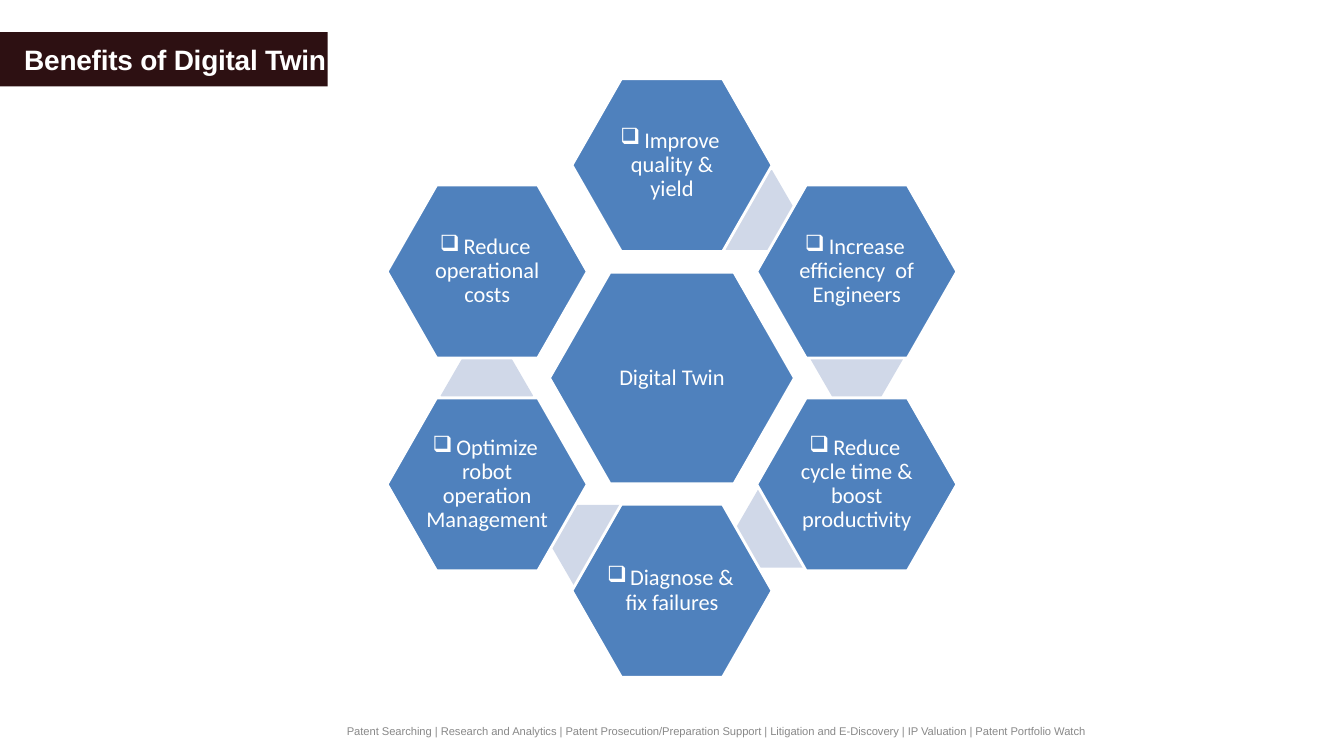
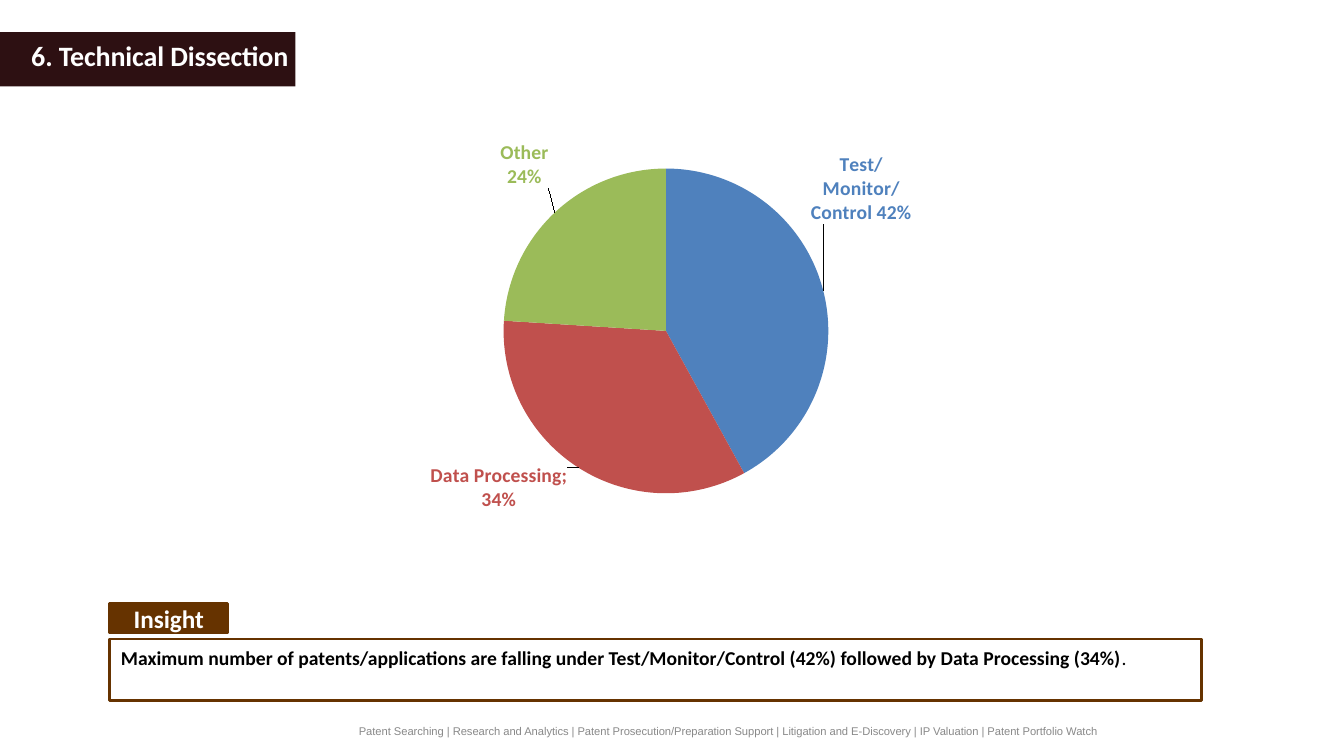
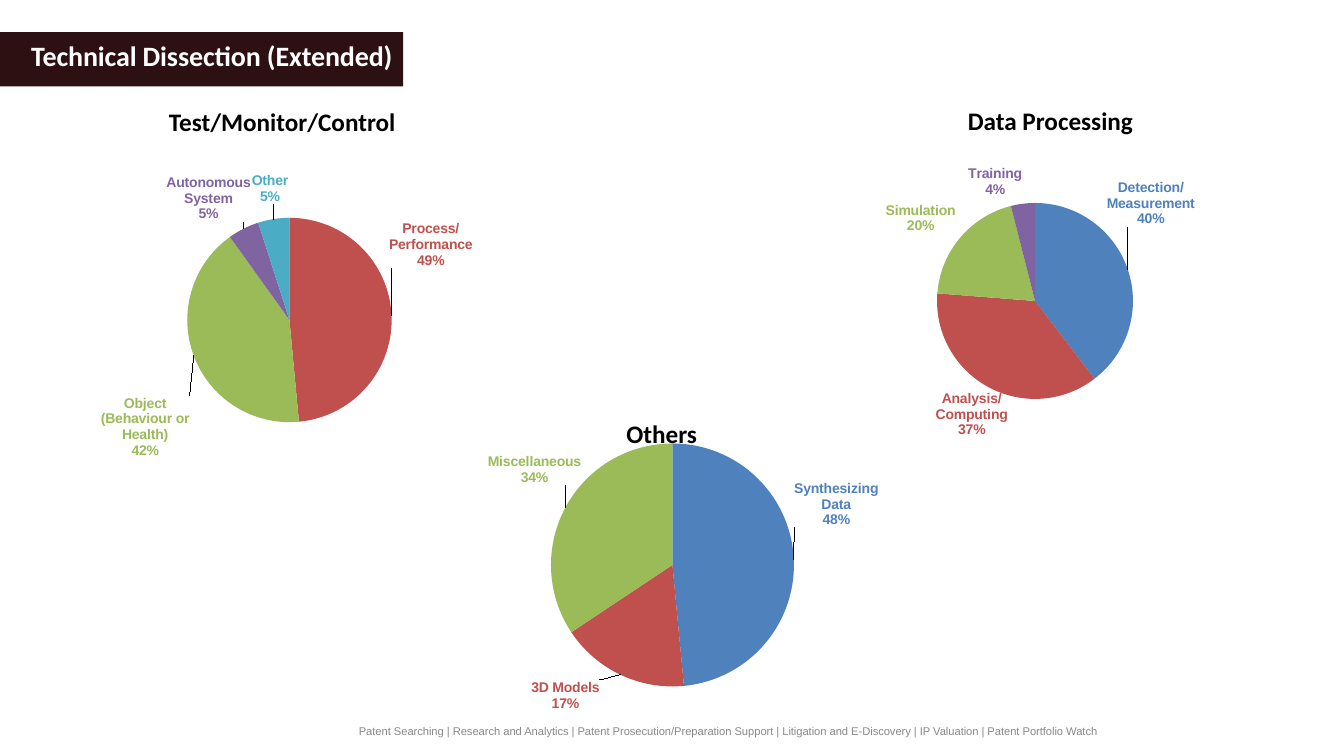
from lxml import etree
from pptx import Presentation
from pptx.chart.data import CategoryChartData
from pptx.dml.color import RGBColor
from pptx.enum import chart as charts, shapes, text
from pptx.oxml import parse_xml
from pptx.oxml.ns import nsdecls, qn
from pptx.util import Pt

WHITE, BLACK, GREY = "FFFFFF", "000000", "898989"
MAROON, BROWN = "2D1012", "663300"
BLUE, RED, GREEN, PURPLE, AQUA = "4F81BD", "C0504D", "9BBB59", "8064A2", "4BACC6"
PALE_BLUE = "D0D8E8"
SLICE_COLOURS = [BLUE, RED, GREEN, PURPLE, AQUA]
LEFT, CENTER, JUSTIFY = text.PP_ALIGN.LEFT, text.PP_ALIGN.CENTER, text.PP_ALIGN.JUSTIFY
TOP, MIDDLE = text.MSO_ANCHOR.TOP, text.MSO_ANCHOR.MIDDLE

FOOTER = ("Patent Searching | Research and Analytics | Patent Prosecution/Preparation Support | "
          "Litigation and E-Discovery | IP Valuation | Patent Portfolio Watch")

HUB = ("Digital Twin", (480, 270), (175, 151))
BENEFIT_SIZE = (143, 123.6)
LINK_SIZE = (66, 57)
COLUMN_STEP, ROW_STEP = 132, 76
BENEFITS = [
    ("Improve quality & yield", 0, -2),
    ("Increase efficiency  of Engineers", 1, -1),
    ("Reduce cycle time & boost productivity", 1, 1),
    ("Diagnose & fix failures", 0, 2),
    ("Optimize robot operation Management", -1, 1),
    ("Reduce operational costs", -1, -1),
]
LINK_CENTRES = [(535, 150), (612, 256.7), (558.7, 377), (426.2, 389.2), (347.8, 282.6)]

INSIGHT = ("Maximum number of patents/applications are falling under "
           "Test/Monitor/Control (42%) followed by Data Processing (34%)")

OVERVIEW = {
    "frame": (232.6, 90, 505.4, 300.2), "centre": (475.7, 236.4), "radius": 116,
    "font": "Calibri", "size": 14,
    "slices": [
        ("Test/Monitor/Control", 42, {"shift": (-13, -46), "separator": " ", "width": 0.15}),
        ("Data Processing", 34, {"shift": (-6, -7), "separator": "; ", "width": 0.19}),
        ("Other", 24, {"shift": (-1.5, -14)}),
    ],
}
DETAILS = [
    {
        "title": ("Data Processing", (657.4, 72, 185.8, 51)),
        "frame": (558.7, 108.7, 383.8, 217.4), "centre": (739.3, 215), "radius": 70,
        "font": "Arial", "size": 10,
        "slices": [
            ("Detection/Measurement", 40, {"shift": (-19, -29)}),
            ("Analysis/Computing", 37, {"shift": (16, -1)}),
            ("Simulation", 20, {}),
            ("Training", 4, {}),
        ],
    },
    {
        "title": ("Test/Monitor/Control", (90.7, 72.7, 221.8, 51)),
        "frame": (26.6, 112.3, 360, 216), "centre": (206.8, 228.6), "radius": 73,
        "font": "Arial", "size": 10,
        "slices": [
            ("Test/Monitor/Control", None, None),
            ("Process/Performance", 49, {"shift": (-6, -50)}),
            ("Object (Behaviour or Health)", 42, {"shift": (1, 27)}),
            ("Autonomous System", 5, {"shift": (7, -1)}),
            ("Other", 5, {"shift": (11, -6)}),
        ],
    },
    {
        "title": ("Others", (430.6, 295.2, 84.2, 28.8)),
        "frame": (300.2, 306, 360, 216), "centre": (480.4, 403.6), "radius": 86.8,
        "font": "Arial", "size": 10,
        "slices": [
            ("Synthesizing Data", 48, {"shift": (-4, -39)}),
            ("3D Models", 17, {"shift": (-13, 0)}),
            ("Miscellaneous", 34, {"shift": (15, -14)}),
        ],
    },
]


def colour(value):
    return RGBColor.from_string(value)


def points(lengths):
    return [Pt(length) for length in lengths]


def around(centre, size):
    return centre[0] - size[0] / 2, centre[1] - size[1] / 2, *size


def style(span, size, tone, font="Calibri", bold=False, spacing=None):
    span.font.size, span.font.name, span.font.bold = Pt(size), font, bold
    span.font.color.rgb = colour(tone)
    if spacing is not None:
        span.font._element.set("spc", str(spacing))


def write(shape, words, size, tone, align=LEFT, anchor=TOP, margins=None, **looks):
    frame = shape.text_frame
    frame.word_wrap = True
    frame.vertical_anchor = anchor
    if margins is not None:
        (frame.margin_left, frame.margin_top,
         frame.margin_right, frame.margin_bottom) = points(margins)
    frame.text = words
    para = frame.paragraphs[0]
    para.alignment = align
    style(para.runs[0], size, tone, **looks)
    return para


def add_label(page, place, words, size, tone, **looks):
    return write(page.shapes.add_textbox(*points(place)), words, size, tone, **looks)


def add_block(page, kind, place, fill, line=None, width=2):
    shape = page.shapes.add_shape(kind, *points(place))
    shape.shadow.inherit = False
    shape.fill.solid()
    shape.fill.fore_color.rgb = colour(fill)
    if line:
        shape.line.color.rgb = colour(line)
        shape.line.width = Pt(width)
    else:
        shape.line.fill.background()
    return shape


def add_page(deck, title, band_width, title_place, footer_place, font="Calibri", spacing=-10):
    page = deck.slides.add_slide(deck.slide_layouts[6])
    add_block(page, shapes.MSO_SHAPE.RECTANGLE, (0, 23, band_width, 38.8), MAROON)
    para = add_label(page, title_place, title, 20, WHITE, margins=(0.7, 0.7, 0, 0),
                     font=font, bold=True, spacing=spacing)
    para.space_before = Pt(1)
    add_label(page, footer_place, FOOTER, 8, GREY, margins=(0.7, 0.7, 0, 0),
              font="Arial", spacing=-5)
    return page


def add_hexagon(page, centre, size, fill, line=None, adjust=0.286):
    shape = add_block(page, shapes.MSO_SHAPE.HEXAGON, around(centre, size), fill, line)
    shape.adjustments[0] = adjust
    return shape


def write_hexagon(shape, words, bullet=None):
    para = write(shape, words, 16, WHITE, align=CENTER, anchor=MIDDLE, margins=(1.5,) * 4)
    para.line_spacing = 0.9
    if bullet:
        etree.SubElement(para._p.get_or_add_pPr(), qn("a:buChar")).set("char", bullet)


def label_xml(index, tone, pie, options):
    width, height = pie["frame"][2:]
    layout = extension = ""
    if "shift" in options:
        across, down = options["shift"]
        layout = (f'<c:layout><c:manualLayout><c:x val="{across / width:.4f}"/>'
                  f'<c:y val="{down / height:.4f}"/></c:manualLayout></c:layout>')
    if "width" in options:
        extension = (
            '<c:extLst><c:ext uri="{CE6537A1-D6FC-4f65-9D91-7224C49458BB}" '
            'xmlns:c15="http://schemas.microsoft.com/office/drawing/2012/chart">'
            f'<c15:layout><c:manualLayout><c:w val="{options["width"]}"/>'
            '<c:h val="0.18"/></c:manualLayout></c15:layout></c:ext></c:extLst>')
    return (
        f'<c:dLbl><c:idx val="{index}"/>{layout}<c:spPr><a:noFill/><a:ln><a:noFill/></a:ln></c:spPr>'
        f'<c:txPr><a:bodyPr/><a:p><a:pPr><a:defRPr sz="{pie["size"] * 100}" b="1">'
        f'<a:solidFill><a:srgbClr val="{tone}"/></a:solidFill><a:latin typeface="{pie["font"]}"/>'
        '</a:defRPr></a:pPr><a:endParaRPr lang="en-US"/></a:p></c:txPr><c:dLblPos val="outEnd"/>'
        '<c:showLegendKey val="0"/><c:showVal val="0"/><c:showCatName val="1"/>'
        '<c:showSerName val="0"/><c:showPercent val="1"/><c:showBubbleSize val="0"/>'
        f'<c:separator>{options.get("separator", chr(10))}</c:separator>{extension}</c:dLbl>')


def add_pie(page, pie):
    data = CategoryChartData()
    data.categories = [name for name, value, options in pie["slices"]]
    data.add_series("Series 1", [value for name, value, options in pie["slices"]])
    chart = page.shapes.add_chart(charts.XL_CHART_TYPE.PIE, *points(pie["frame"]), data).chart
    chart.has_legend = chart.has_title = False
    chart.font.size, chart.font.name = Pt(10), "Calibri"
    chart.font.color.rgb = colour(BLACK)
    plot = chart.plots[0]
    plot.vary_by_categories = True
    series = plot.series[0]
    labels = ""
    for index, (name, value, options) in enumerate(pie["slices"]):
        fill = series.points[index].format.fill
        fill.solid()
        fill.fore_color.rgb = colour(SLICE_COLOURS[index])
        if options is not None:
            labels += label_xml(index, SLICE_COLOURS[index], pie, options)
    hidden = "".join(f'<c:show{part} val="0"/>' for part in
                     ("LegendKey", "Val", "CatName", "SerName", "Percent", "BubbleSize"))
    series._element.find(qn("c:cat")).addprevious(parse_xml(
        f'<c:dLbls {nsdecls("c", "a")}>{labels}{hidden}<c:showLeaderLines val="1"/></c:dLbls>'))

    left, top, width, height = pie["frame"]
    across, down = pie["centre"]
    radius = pie["radius"]
    area = chart._chartSpace.chart.plotArea
    for old in area.findall(qn("c:layout")):
        area.remove(old)
    area.insert(0, parse_xml(
        f'<c:layout {nsdecls("c")}><c:manualLayout><c:layoutTarget val="inner"/>'
        '<c:xMode val="edge"/><c:yMode val="edge"/>'
        f'<c:x val="{(across - radius - left) / width:.4f}"/>'
        f'<c:y val="{(down - radius - top) / height:.4f}"/>'
        f'<c:w val="{2 * radius / width:.4f}"/><c:h val="{2 * radius / height:.4f}"/>'
        '</c:manualLayout></c:layout>'))


def build_benefits(deck):
    page = add_page(deck, "Benefits of Digital Twin", 234, (16.6, 29.5, 229, 25),
                    (247, 517, 543.6, 11.5), font="Arial", spacing=-20)
    words, centre, size = HUB
    write_hexagon(add_hexagon(page, centre, size, BLUE, WHITE), words)
    for link in LINK_CENTRES:
        add_hexagon(page, link, LINK_SIZE, PALE_BLUE, adjust=0.289)
    for words, column, row in BENEFITS:
        place = centre[0] + column * COLUMN_STEP, centre[1] + row * ROW_STEP
        write_hexagon(add_hexagon(page, place, BENEFIT_SIZE, BLUE, WHITE), words, "❑")


def build_overview(deck):
    page = add_page(deck, "6. Technical Dissection", 211, (21.6, 26.6, 211, 26),
                    (255.6, 517, 543.6, 11))
    add_pie(page, OVERVIEW)
    box = add_block(page, shapes.MSO_SHAPE.RECTANGLE, (78.5, 456.5, 779.8, 44), WHITE, BROWN)
    para = write(box, INSIGHT, 14, BLACK, align=JUSTIFY, margins=(7.9, 5, 7.2, 3.6), bold=True)
    span = para.add_run()
    span.text = "."
    style(span, 14, BLACK)
    tab = add_block(page, shapes.MSO_SHAPE.RECTANGLE, (78.5, 431.3, 84.2, 20.9), BROWN, BROWN)
    write(tab, "Insight", 18, WHITE, align=CENTER, anchor=MIDDLE, bold=True)


def build_details(deck):
    page = add_page(deck, "Technical Dissection (Extended)", 288, (21.6, 26.6, 291.6, 25),
                    (255.6, 517, 543.6, 11))
    for pie in DETAILS:
        add_pie(page, pie)
        words, place = pie["title"]
        add_label(page, place, words, 18, BLACK, align=CENTER, bold=True)


def main():
    deck = Presentation()
    deck.slide_width, deck.slide_height = Pt(960), Pt(540)
    build_benefits(deck)
    build_overview(deck)
    build_details(deck)
    deck.save("out.pptx")


if __name__ == "__main__":
    main()
